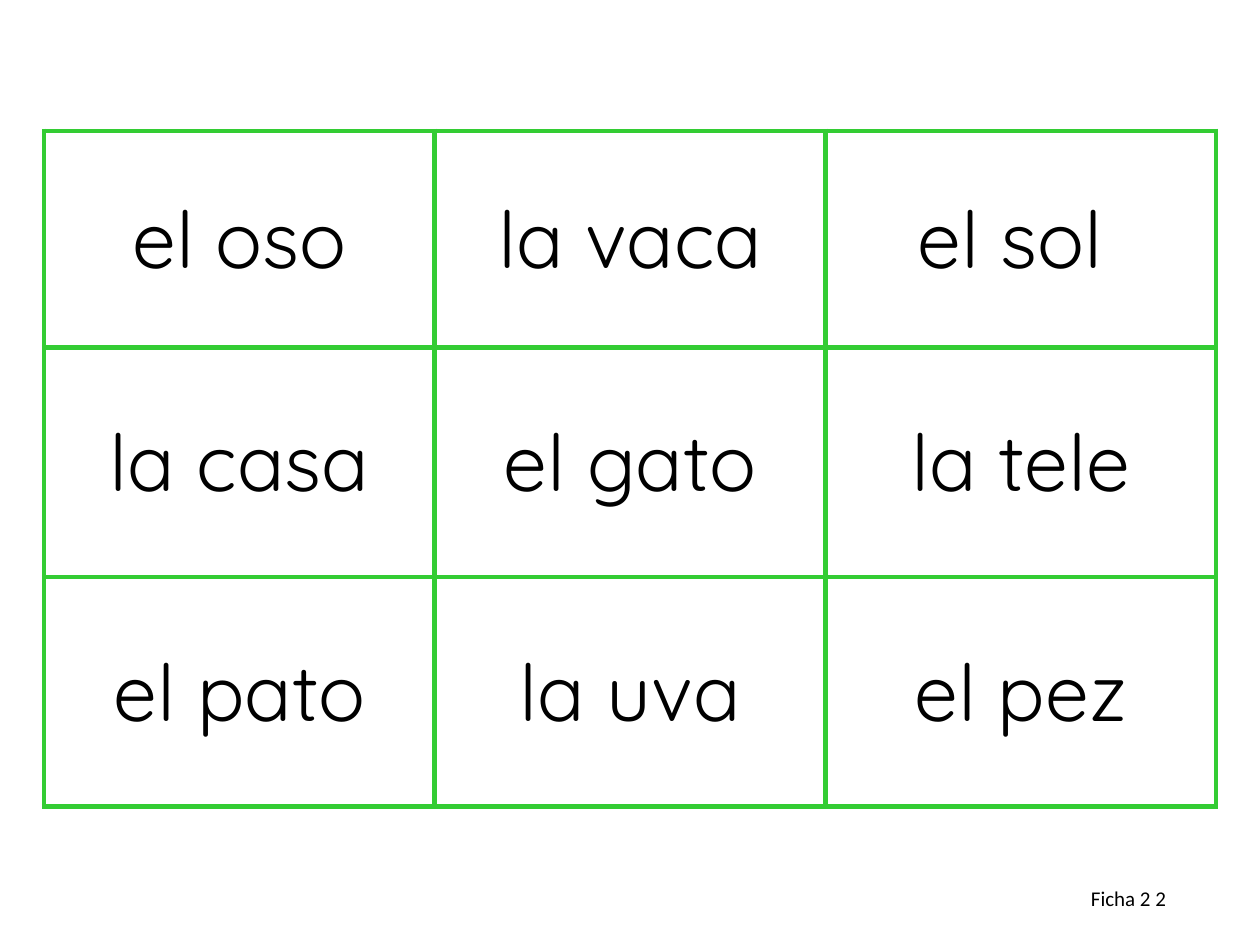
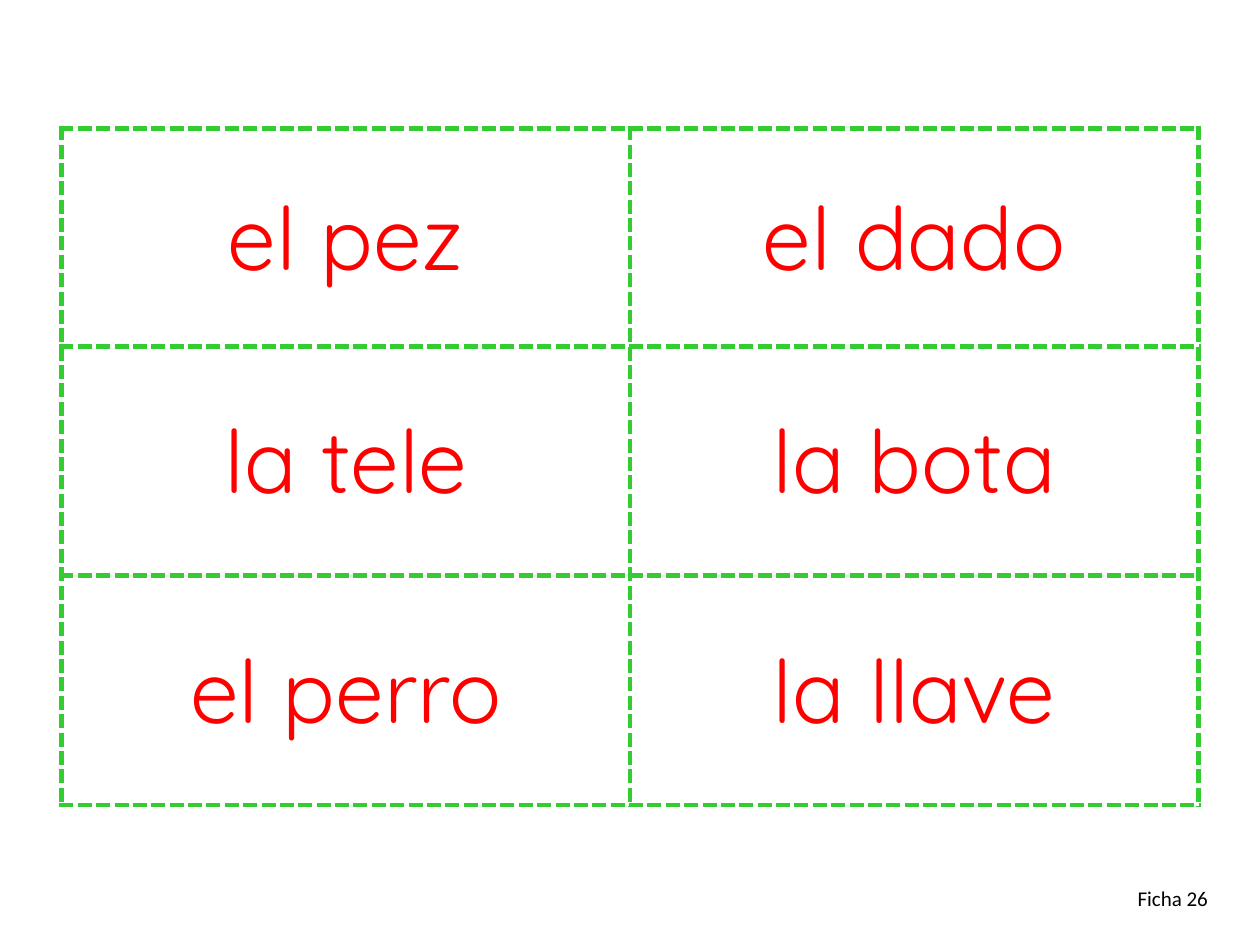
from lxml.etree import SubElement
from pptx import Presentation
from pptx.dml.color import RGBColor
from pptx.enum.text import MSO_ANCHOR as Anchor, MSO_AUTO_SIZE as AutoSize, PP_ALIGN as Align
from pptx.oxml.ns import qn
from pptx.util import Inches, Pt

BLACK, WHITE, RED, GREEN = "000000", "FFFFFF", "FF0000", "33CC33"
WORD_FONT, FOOTER_FONT = "Quicksand", "Calibri"
BORDER_WIDTH = Pt(3)
BLANK_LAYOUT = 6


def color(hex_string):
    return RGBColor.from_string(hex_string)


class WordCards:
    """Holds the deck, its shared style and the slide being filled."""

    def __init__(self):
        self.deck = Presentation()
        self.deck.slide_width, self.deck.slide_height = Inches(10), Inches(7.5)
        self.slide = None

    def add_slide(self):
        self.slide = self.deck.slides.add_slide(self.deck.slide_layouts[BLANK_LAYOUT])

    def style_text(self, para, font, size, text_color):
        for span in para.runs:
            span.font.name = font
            span.font.size = Pt(size)
            span.font.color.rgb = color(text_color)

    def add_borders(self, cell, dash):
        properties = cell._tc.get_or_add_tcPr()
        for side in ("lnL", "lnR", "lnT", "lnB"):
            line = SubElement(properties, qn(f"a:{side}"), w=str(BORDER_WIDTH))
            fill = SubElement(line, qn("a:solidFill"))
            SubElement(fill, qn("a:srgbClr"), val=GREEN)
            SubElement(line, qn("a:prstDash"), val=dash)

    def add_word(self, cell, word, size, text_color, dash):
        self.add_borders(cell, dash)
        cell.fill.solid()
        cell.fill.fore_color.rgb = color(WHITE)
        cell.vertical_anchor = Anchor.MIDDLE
        cell.margin_left = cell.margin_right = Inches(0.17)
        cell.margin_top = cell.margin_bottom = Inches(0.05)
        cell.text_frame.text = word
        para = cell.text_frame.paragraphs[0]
        para.alignment = Align.CENTER
        self.style_text(para, WORD_FONT, size, text_color)

    def add_grid(self, words, left, top, column_width, row_heights, size, text_color, dash):
        rows, columns = len(words), len(words[0])
        frame = self.slide.shapes.add_table(
            rows, columns, Inches(left), Inches(top),
            Inches(column_width * columns), Inches(sum(row_heights)))
        table = frame.table
        table.first_row = table.horz_banding = False
        for column in table.columns:
            column.width = Inches(column_width)
        for row, height, row_words in zip(table.rows, row_heights, words):
            row.height = Inches(height)
            for cell, word in zip(row.cells, row_words):
                self.add_word(cell, word, size, text_color, dash)

    def add_footer(self, text, left, width, wrap):
        box = self.slide.shapes.add_textbox(
            Inches(left), Inches(6.98), Inches(width), Inches(0.3))
        text_frame = box.text_frame
        text_frame.word_wrap = wrap
        text_frame.auto_size = AutoSize.SHAPE_TO_FIT_TEXT
        text_frame.text = text
        self.style_text(text_frame.paragraphs[0], FOOTER_FONT, 12, BLACK)


def main():
    cards = WordCards()

    cards.add_slide()
    cards.add_grid(
        [["el oso", "la vaca", "el sol "],
         ["la casa", "el gato", "la tele"],
         ["el pato", "la uva", "el pez"]],
        left=0.35, top=1.04, column_width=3.1, row_heights=[1.72, 1.82, 1.82],
        size=45, text_color=BLACK, dash="solid")
    cards.add_footer("Ficha 2 2", left=8.56, width=1.06, wrap=True)

    cards.add_slide()
    cards.add_grid(
        [["el pez", "el dado"],
         ["la tele", "la bota"],
         ["el perro", "la llave"]],
        left=0.49, top=1.02, column_width=4.51, row_heights=[1.73, 1.82, 1.82],
        size=50, text_color=RED, dash="dash")
    cards.add_footer("Ficha 26", left=8.93, width=0.76, wrap=False)

    cards.deck.save("out.pptx")


if __name__ == "__main__":
    main()
